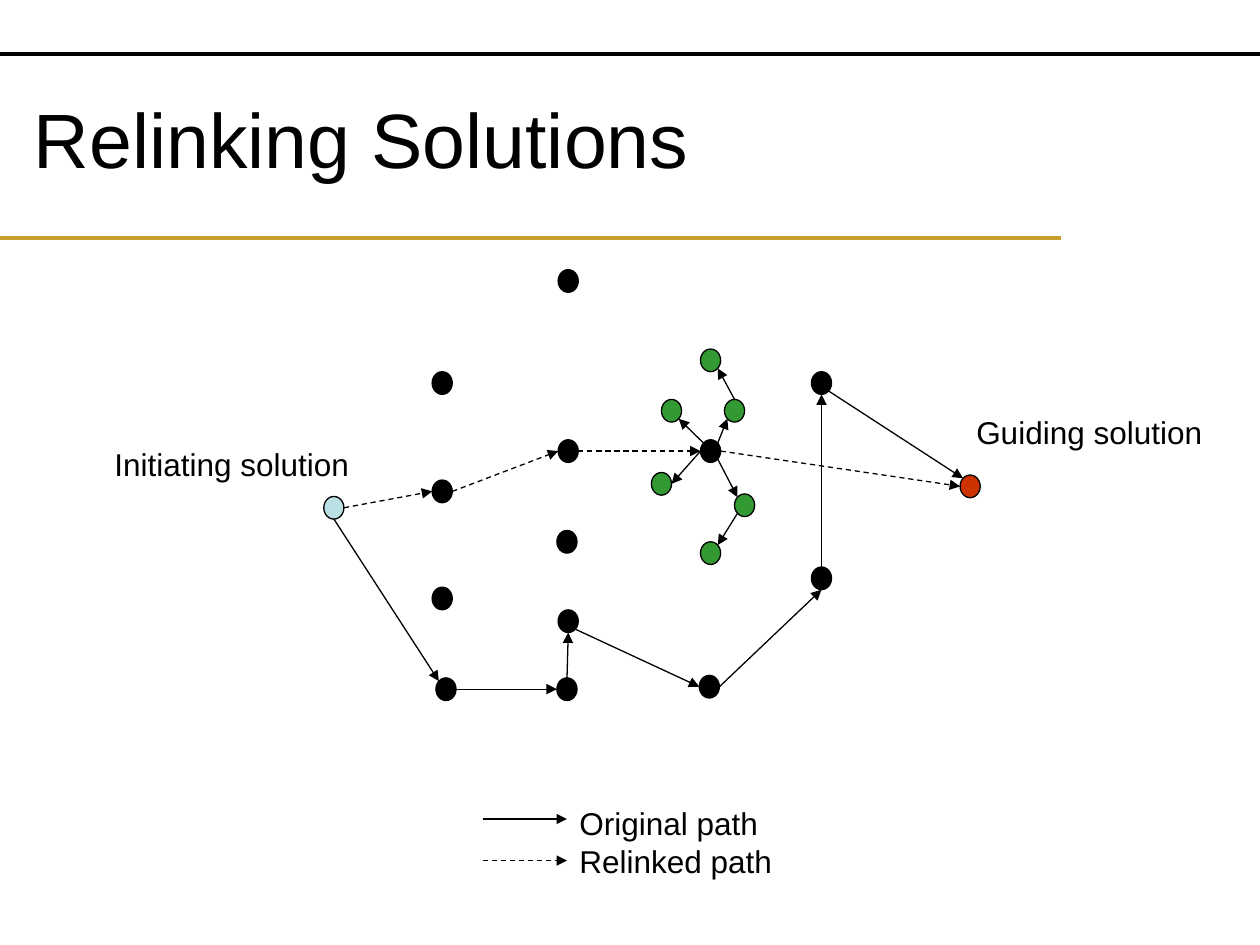
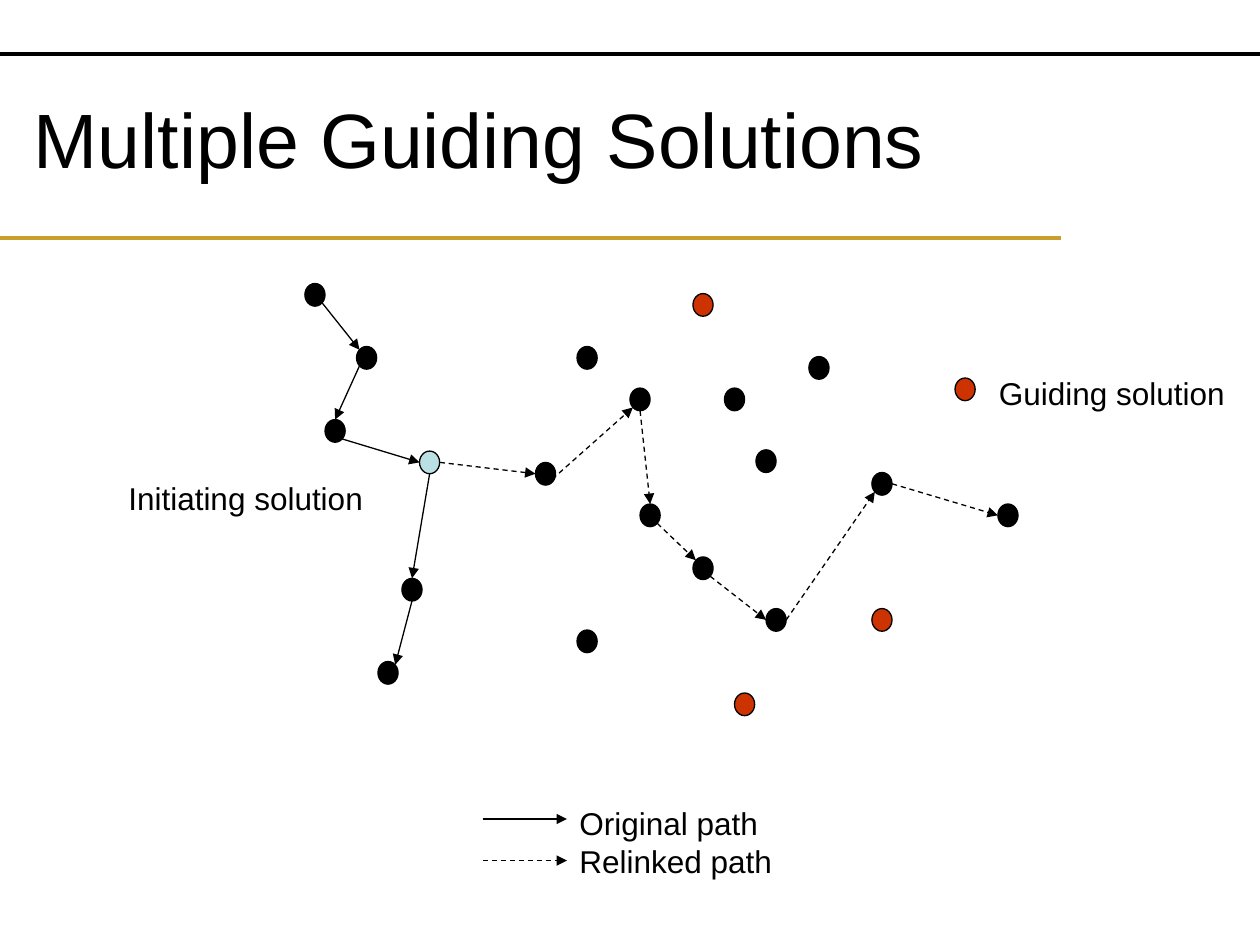
import pptx
import pptx.util
import pptx.dml.color
import pptx.enum.dml
import pptx.enum.shapes
import pptx.enum.text
import pptx.oxml.ns
import pptx.oxml.xmlchemy

Inches, Pt = pptx.util.Inches, pptx.util.Pt

COLORS = {"ink": "000000", "gold": "C89F2C", "initiating": "BBE0E3",
          "guiding": "CC3300", "neighbour": "339933"}
FONT = "Arial"
NODE_W, NODE_H = 0.16, 0.18
THIN, RULE = 0.75, 2.25
DIAGONAL = 0.71  # cosine of 45 degrees

# Compass points on a node, as fractions of its half width and half height
SIDES = {
    "n": (0, -1), "s": (0, 1), "w": (-1, 0), "e": (1, 0),
    "nw": (-DIAGONAL, -DIAGONAL), "ne": (DIAGONAL, -DIAGONAL),
    "sw": (-DIAGONAL, DIAGONAL), "se": (DIAGONAL, DIAGONAL),
}

RULES = [((0, 1.89), (8.42, 1.89), "gold"), ((0, 0.43), (10, 0.43), "ink")]
TITLE_BOX = (0.17, 0.47, 9, 1.25)
TITLE_FORMAT = {"size": Pt(44), "name": FONT}
LABEL_FORMAT = {"size": Pt(18), "name": FONT}
LEGEND_BOX = (4.5, 6.33, 1.73, 0.7)
LEGEND = [("Original path", 6.5, False), ("Relinked path", 6.83, True)]
LEGEND_ARROW_X = (3.83, 4.5)

# Nodes: colour -> name -> left, top.  Paths: (start, side, end, side).
SLIDES = [
    {
        "title": "Relinking Solutions",
        "labels": [("Initiating solution", (0.81, 3.48, 2.06, 0.4)),
                   ("Guiding solution", (7.65, 3.23, 1.99, 0.4))],
        "nodes": {
            "ink": {
                "low 1": (3.46, 5.38), "low 2": (4.42, 5.38), "step up": (4.43, 4.84),
                "low 3": (5.55, 5.36), "rise": (6.44, 4.5), "peak": (6.44, 2.95),
                "relink 1": (3.43, 3.81), "relink 2": (4.43, 3.49), "hub": (5.56, 3.49),
                "spare 1": (3.43, 2.95), "spare 2": (3.43, 4.66),
                "spare 3": (4.43, 2.14), "spare 4": (4.42, 4.21),
            },
            "initiating": {"initiating": (2.57, 3.94)},
            "guiding": {"guiding": (7.62, 3.77)},
            "neighbour": {
                "bottom": (5.56, 4.3), "top": (5.56, 2.77), "left": (5.17, 3.75),
                "lower right": (5.83, 3.92), "upper left": (5.25, 3.17),
                "upper right": (5.75, 3.17),
            },
        },
        "original": [
            ("initiating", "s", "low 1", "nw"), ("low 1", "e", "low 2", "w"),
            ("low 2", "n", "step up", "s"), ("step up", "se", "low 3", "w"),
            ("low 3", "e", "rise", "s"), ("rise", "n", "peak", "s"),
            ("peak", "se", "guiding", "nw"),
            ("hub", "se", "lower right", "nw"), ("lower right", "sw", "bottom", "ne"),
            ("hub", "w", "left", "e"), ("hub", "nw", "upper left", "se"),
            ("hub", "ne", "upper right", "sw"), ("upper right", "n", "top", "se"),
        ],
        "relinked": [
            ("initiating", "e", "relink 1", "w"), ("relink 1", "e", "relink 2", "w"),
            ("relink 2", "e", "hub", "w"), ("hub", "e", "guiding", "w"),
        ],
    },
    {
        "title": "Multiple Guiding Solutions",
        "labels": [("Initiating solution", (0.92, 3.75, 2.06, 0.4)),
                   ("Guiding solution", (7.83, 2.92, 1.99, 0.4))],
        "nodes": {
            "ink": {
                "start": (2.42, 2.25), "second": (2.83, 2.75), "third": (2.58, 3.33),
                "fifth": (3.19, 4.59), "last": (3, 5.25),
                "relink 1": (4.25, 3.67), "relink 2": (5, 3.08), "relink 3": (5.08, 4),
                "relink 4": (5.5, 4.42), "relink 5": (6.08, 4.83),
                "relink 6": (6.92, 3.75), "relink 7": (7.92, 4),
                "spare 1": (4.58, 5), "spare 2": (6, 3.57), "spare 3": (4.58, 2.75),
                "spare 4": (5.75, 3.08), "spare 5": (6.42, 2.83),
            },
            "initiating": {"initiating": (3.33, 3.58)},
            "guiding": {"guiding 1": (5.5, 2.33), "guiding 2": (7.58, 3),
                        "guiding 3": (6.92, 4.83), "guiding 4": (5.83, 5.5)},
        },
        "original": [
            ("start", "se", "second", "nw"), ("second", "sw", "third", "n"),
            ("third", "se", "initiating", "w"), ("initiating", "s", "fifth", "n"),
            ("fifth", "s", "last", "ne"),
        ],
        "relinked": [
            ("initiating", "e", "relink 1", "w"), ("relink 1", "s", "relink 2", "sw"),
            ("relink 2", "s", "relink 3", "n"), ("relink 3", "se", "relink 4", "nw"),
            ("relink 4", "se", "relink 5", "w"), ("relink 5", "e", "relink 6", "sw"),
            ("relink 6", "e", "relink 7", "w"),
        ],
    },
]


def rgb(color):
    return pptx.dml.color.RGBColor.from_string(COLORS[color])


def add_text(slide, lines, box, text_format, **frame_format):
    frame = slide.shapes.add_textbox(*map(Inches, box)).text_frame
    for attribute, value in frame_format.items():
        setattr(frame, attribute, value)
    frame.text = "\n".join(lines)
    for paragraph in frame.paragraphs:
        paragraph.font.color.rgb = rgb("ink")
        for attribute, value in text_format.items():
            setattr(paragraph.font, attribute, value)


def add_line(slide, start, end, color="ink", width=THIN):
    connector = slide.shapes.add_connector(
        pptx.enum.shapes.MSO_CONNECTOR.STRAIGHT, *map(Inches, (*start, *end)))
    connector.line.color.rgb = rgb(color)
    connector.line.width = Pt(width)
    properties = connector._element.spPr
    properties.append(pptx.oxml.xmlchemy.OxmlElement("a:effectLst"))
    return connector


def add_arrow(slide, start, end, dashed):
    arrow = add_line(slide, start, end)
    if dashed:
        arrow.line.dash_style = pptx.enum.dml.MSO_LINE.DASH
    head = pptx.oxml.xmlchemy.OxmlElement("a:tailEnd")
    head.set("type", "triangle")
    arrow._element.spPr.find(pptx.oxml.ns.qn("a:ln")).append(head)


def add_node(slide, left, top, color):
    node = slide.shapes.add_shape(pptx.enum.shapes.MSO_SHAPE.OVAL,
                                  *map(Inches, (left, top, NODE_W, NODE_H)))
    node.shadow.inherit = False
    node.fill.solid()
    node.fill.fore_color.rgb = rgb(color)
    node.line.color.rgb = rgb("ink")
    node.line.width = Pt(THIN)


def edge_point(corner, side):
    """Point on the outline of the node at this corner."""
    across, down = SIDES[side]
    return (corner[0] + NODE_W / 2 * (1 + across),
            corner[1] + NODE_H / 2 * (1 + down))


def add_frame(slide, title):
    """Rules, title and legend, the same on every slide."""
    for start, end, color in RULES:
        add_line(slide, start, end, color, RULE)
    add_text(slide, [title], TITLE_BOX, TITLE_FORMAT, word_wrap=True,
             vertical_anchor=pptx.enum.text.MSO_ANCHOR.MIDDLE)
    add_text(slide, [name for name, _, _ in LEGEND], LEGEND_BOX, LABEL_FORMAT,
             word_wrap=False)
    for _, y, dashed in LEGEND:
        add_arrow(slide, *((x, y) for x in LEGEND_ARROW_X), dashed)


def add_graph(slide, content):
    corners = {}
    for color, nodes in content["nodes"].items():
        corners.update(nodes)
        for left, top in nodes.values():
            add_node(slide, left, top, color)
    for label, box in content["labels"]:
        add_text(slide, [label], box, LABEL_FORMAT, word_wrap=False)
    for route in ("original", "relinked"):
        for origin, exit_side, target, entry_side in content[route]:
            add_arrow(slide, edge_point(corners[origin], exit_side),
                      edge_point(corners[target], entry_side), route == "relinked")


def main():
    deck = pptx.Presentation()
    deck.slide_width, deck.slide_height = Inches(10), Inches(7.5)
    for content in SLIDES:
        slide = deck.slides.add_slide(deck.slide_layouts[6])
        add_frame(slide, content["title"])
        add_graph(slide, content)
    deck.save("out.pptx")


if __name__ == "__main__":
    main()
